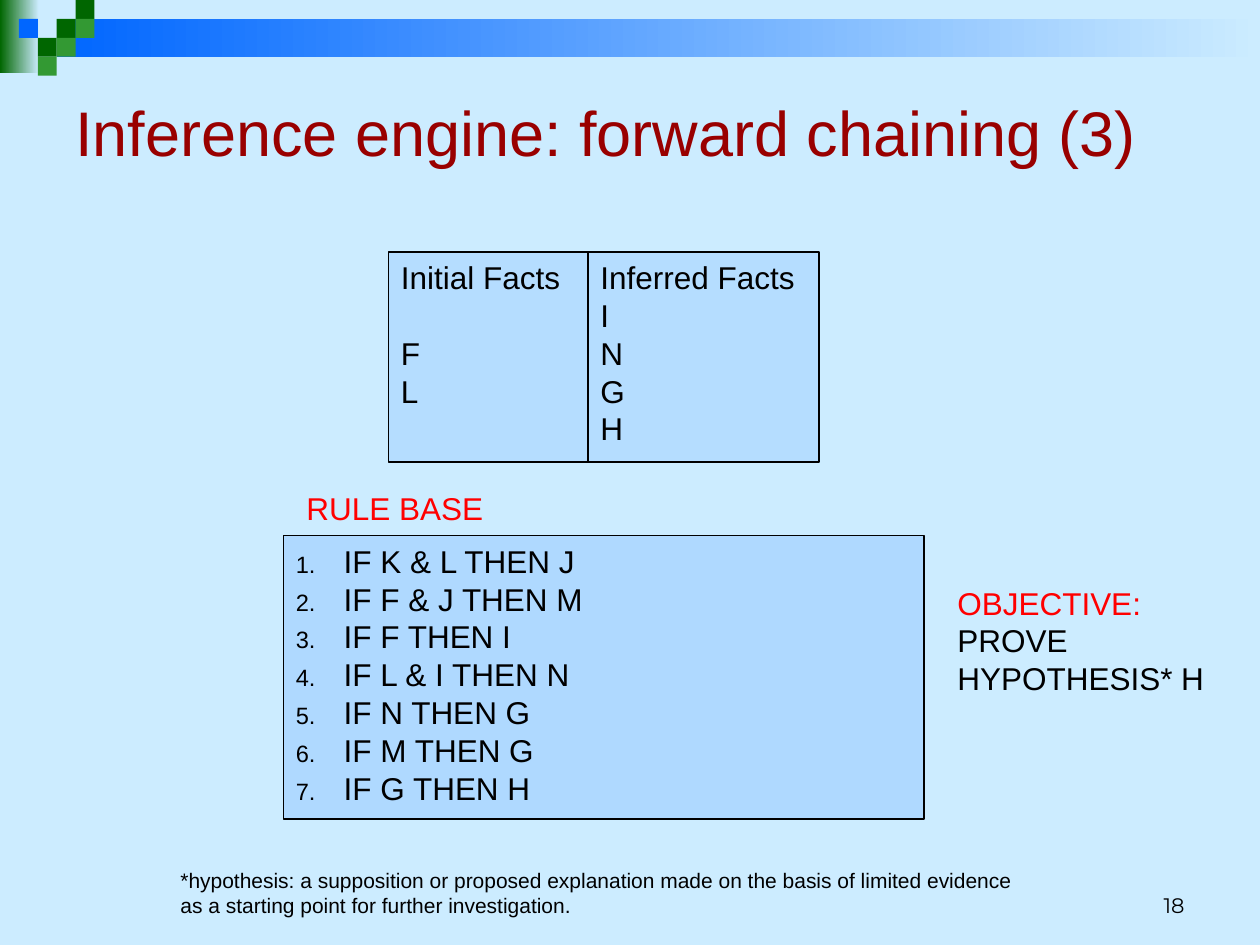
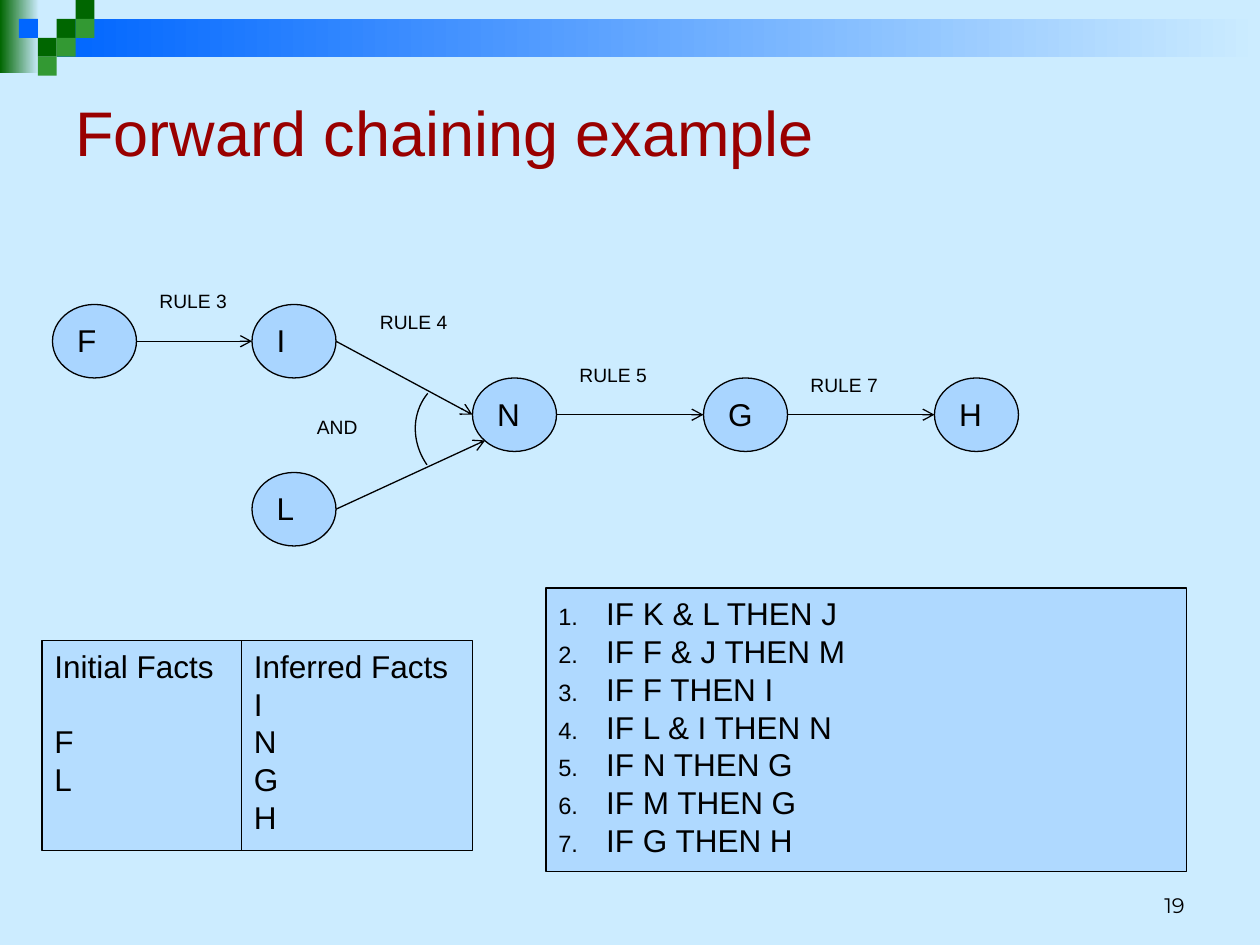
import pptx
import pptx.dml.color
import pptx.enum.shapes
import pptx.enum.text
import pptx.oxml
import pptx.oxml.ns
import pptx.util
import lxml.etree

SHAPE = pptx.enum.shapes.MSO_SHAPE
ALIGN = pptx.enum.text.PP_ALIGN
ANCHOR = pptx.enum.text.MSO_ANCHOR

COLORS = {
    "background": "CCECFF", "blue": "0066FF", "green": "006600",
    "light green": "339933", "title": "990000", "red": "FF0000", "black": "000000",
}

RULES = [
    "IF K & L THEN J", "IF F & J THEN M", "IF F THEN I", "IF L & I THEN N",
    "IF N THEN G", "IF M THEN G", "IF G THEN H",
]
INITIAL_FACTS = ["F", "L"]
INFERRED_FACTS = ["I", "N", "G", "H"]
FOOTNOTE = ("*hypothesis: a supposition or proposed explanation made on the basis of "
            "limited evidence as a starting point for further investigation.")

# Positions are columns and rows of a grid with twelve cells to the inch.
CELL = 1 / 12
NODE_SIZE = (8, 7)
NODES = {"F": (5, 29), "I": (24, 29), "L": (24, 45),
         "N": (45, 36), "G": (67, 36), "H": (89, 36)}
# Start node, end node, and where the arrow meets the end node.
ARROWS = [("F", "I", "left"), ("I", "N", "left"), ("L", "N", "bottom left"),
          ("N", "G", "left"), ("G", "H", "left")]
# Shares of a node's width and height.
NODE_SITES = {"left": (0, 0.5), "right": (1, 0.5), "bottom left": (0.15, 0.85)}
ARROW_LABELS = [("RULE 3", 14, 27), ("RULE 4", 35, 29), ("AND", 29, 39),
                ("RULE 5", 54, 34), ("RULE 7", 76, 35)]

# The corner checkerboard: column, row, colour.
CHECK = 0.15
CHECKS = [(3, 1, "green"), (4, 0, "green"), (4, 1, "light green"), (2, 2, "green"),
          (1, 1, "blue"), (3, 2, "light green"), (2, 3, "light green")]


def rgb(name):
    return pptx.dml.color.RGBColor.from_string(COLORS[name])


def grid(*cells):
    return [pptx.util.Inches(cell * CELL) for cell in cells]


def add_child(parent, tag, **attributes):
    return lxml.etree.SubElement(parent, pptx.oxml.ns.qn(tag), attributes)


def number_paragraph(para):
    properties = para._p.get_or_add_pPr()
    indent = pptx.util.Inches(0.38)
    properties.set("marL", str(indent))
    properties.set("indent", str(-indent))
    color = add_child(properties, "a:buClr")
    add_child(color, "a:srgbClr", val=COLORS["black"])
    add_child(properties, "a:buSzPct", val="75000")
    add_child(properties, "a:buAutoNum", type="arabicPeriod")


def write(box, lines, size=18, colors=("black",), font="Arial", align=ALIGN.LEFT,
          anchor=ANCHOR.TOP, numbered=False, heading_gap=0):
    """Fill box with lines; the last colour serves all remaining lines."""
    frame = box.text_frame
    frame.word_wrap = True
    frame.vertical_anchor = anchor
    for index, line in enumerate(lines):
        para = frame.paragraphs[0] if index == 0 else frame.add_paragraph()
        if numbered:
            number_paragraph(para)
        para.text = line
        para.alignment = align
        para.line_spacing = pptx.util.Pt(1.2 * size)
        para.font.size = pptx.util.Pt(size)
        para.font.name = font
        para.font.color.rgb = rgb(colors[min(index, len(colors) - 1)])
    if heading_gap:
        frame.paragraphs[0].space_after = pptx.util.Pt(heading_gap)


def add_text(page, place, lines, **style):
    write(page.shapes.add_textbox(*grid(*place)), lines, **style)


def add_panel(page, place, lines, opacity, kind=SHAPE.RECTANGLE, **style):
    """Outlined shape with a translucent blue fill and text."""
    panel = page.shapes.add_shape(kind, *grid(*place))
    panel.shadow.inherit = False
    panel.fill.solid()
    panel.fill.fore_color.rgb = rgb("blue")
    fill_color = panel._element.spPr.find(".//" + pptx.oxml.ns.qn("a:srgbClr"))
    add_child(fill_color, "a:alpha", val=str(opacity * 1000))
    outline(panel)
    write(panel, lines, **style)


def outline(item):
    item.line.color.rgb = rgb("black")
    item.line.width = pptx.util.Pt(0.75)


def add_band(page, place, color, fading=False):
    band = page.shapes.add_shape(SHAPE.RECTANGLE, *map(pptx.util.Inches, place))
    band.shadow.inherit = False
    band.line.fill.background()
    if fading:
        band.fill.gradient()
        band.fill.gradient_angle = 0
        for stop, name in zip(band.fill.gradient_stops, (color, "background")):
            stop.color.rgb = rgb(name)
    else:
        band.fill.solid()
        band.fill.fore_color.rgb = rgb(color)


def add_page(deck, title, number):
    page = deck.slides.add_slide(deck.slide_layouts[6])
    page.background.fill.solid()
    page.background.fill.fore_color.rgb = rgb("background")
    add_band(page, (0, 0, 0.31, 0.58), "green", fading=True)
    add_band(page, (0.45, 0.15, 9.55, 0.3), "blue", fading=True)
    for column, row, color in CHECKS:
        add_band(page, (column * CHECK, row * CHECK, CHECK, CHECK), color)
    add_text(page, (6, 6, 108, 13), [title], size=36, colors=("title",),
             anchor=ANCHOR.MIDDLE)
    add_text(page, (86, 82, 28, 6), [str(number)], size=12, font="Montserrat",
             align=ALIGN.RIGHT, anchor=ANCHOR.BOTTOM)
    return page


def add_facts(page, left, top):
    add_panel(page, (left, top, 19, 20), ["Initial Facts"] + INITIAL_FACTS, 11,
              heading_gap=21.6)
    add_panel(page, (left + 19, top, 22, 20), ["Inferred Facts"] + INFERRED_FACTS, 11)


def add_rules(page, left, top):
    add_panel(page, (left, top, 61, 27), RULES, 14, numbered=True)


def node_site(node, site):
    return [start + length * share for start, length, share
            in zip(NODES[node], NODE_SIZE, NODE_SITES[site])]


def add_arrow(page, start, end, end_site):
    arrow = page.shapes.add_connector(
        pptx.enum.shapes.MSO_CONNECTOR.STRAIGHT,
        *grid(*node_site(start, "right"), *node_site(end, end_site)))
    outline(arrow)
    add_child(arrow.line._get_or_add_ln(), "a:tailEnd", type="arrow")
    add_child(arrow._element.spPr, "a:effectLst")


def add_and_arc(page):
    """Arc that joins the two arrows into N."""
    arc = page.shapes.add_shape(SHAPE.ARC, *map(pptx.util.Inches, (3.28, 2.98, 1, 0.92)))
    arc.shadow.inherit = False
    arc.fill.background()
    outline(arc)
    arc.rotation = 219.6
    arc.adjustments[0] = 288 * 0.6  # start angle; one degree is 0.6
    arc.adjustments[1] = 0


def build_rule_base_page(deck):
    page = add_page(deck, "Inference engine: forward chaining (3)", 18)
    add_facts(page, 37, 24)
    add_rules(page, 27, 51)
    add_text(page, (28, 46, 22, 4.8), ["RULE BASE"], colors=("red",))
    add_text(page, (90, 55, 28, 12), ["OBJECTIVE:", "PROVE HYPOTHESIS* H"],
             colors=("red", "black"))
    add_text(page, (16, 82, 82, 6), [FOOTNOTE], size=12)


def build_example_page(deck):
    page = add_page(deck, "Forward chaining example", 19)
    for name, place in NODES.items():
        add_panel(page, place + NODE_SIZE, [name], 17, kind=SHAPE.OVAL)
    for arrow in ARROWS:
        add_arrow(page, *arrow)
    add_and_arc(page)
    for label, left, top in ARROW_LABELS:
        add_text(page, (left, top, 10, 3.5), [label], size=11)
    add_rules(page, 52, 56)
    add_facts(page, 4, 61)


def main():
    deck = pptx.Presentation()
    deck.slide_width = pptx.util.Inches(10)
    deck.slide_height = pptx.util.Inches(7.5)
    build_rule_base_page(deck)
    build_example_page(deck)
    deck.save("out.pptx")


if __name__ == "__main__":
    main()
